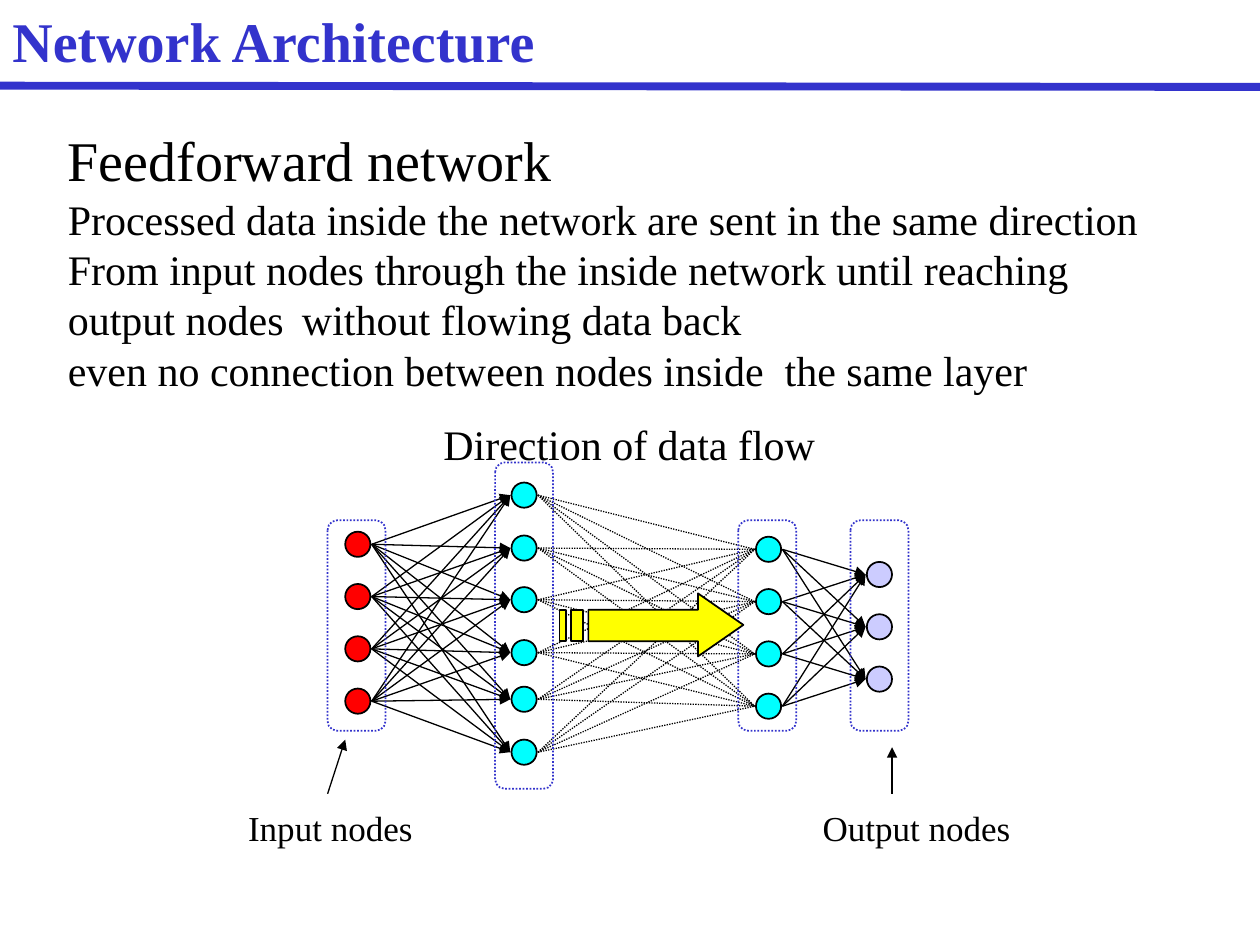
import pptx
import pptx.util
import pptx.dml.color
import pptx.enum.dml
import pptx.enum.shapes
import pptx.oxml
import pptx.oxml.ns
from itertools import product

Inches, Pt = pptx.util.Inches, pptx.util.Pt
SHAPE = pptx.enum.shapes.MSO_SHAPE
DOTS = pptx.enum.dml.MSO_LINE.ROUND_DOT
FONT = "Times New Roman"
COLORS = {"blue": "3333CC", "black": "000000", "red": "FF0000",
          "cyan": "00FFFF", "lilac": "CCCCFF", "yellow": "FFFF00"}
NODE = 0.2
GAP = 0.01

# Sizes in inches from the corner of the diagram.
LAYERS = [
    {"box": (0.73, 0.86, 0.46, 1.67), "left": 0.87, "fill": "red",
     "tops": [0.95 + 0.415 * i for i in range(4)]},
    {"box": (2.06, 0.4, 0.46, 2.59), "left": 2.19, "fill": "cyan",
     "tops": [0.56, 0.98, 1.39, 1.81, 2.18, 2.6]},
    {"box": (3.99, 0.86, 0.46, 1.67), "left": 4.13, "fill": "cyan",
     "tops": [0.99 + 0.415 * i for i in range(4)]},
    {"box": (4.88, 0.86, 0.46, 1.67), "left": 5.01, "fill": "lilac",
     "tops": [1.19 + 0.415 * i for i in range(3)]},
]


def tint(name):
    return pptx.dml.color.RGBColor.from_string(COLORS[name])


def paint(shape, fill, line, width=1):
    shape.shadow.inherit = False
    if fill:
        shape.fill.solid()
        shape.fill.fore_color.rgb = tint(fill)
    else:
        shape.fill.background()
    shape.line.color.rgb = tint(line)
    shape.line.width = Pt(width)


def draw_line(slide, start, end, color="black", width=0.75, head=False, dots=False):
    line = slide.shapes.add_connector(
        pptx.enum.shapes.MSO_CONNECTOR.STRAIGHT,
        *(Inches(v) for v in (*start, *end)))
    line.line.color.rgb = tint(color)
    line.line.width = Pt(width)
    if dots:
        line.line.dash_style = DOTS
    qn = pptx.oxml.ns.qn
    props = line._element.spPr
    if head:
        props.find(qn("a:ln")).append(pptx.oxml.parse_xml(
            '<a:tailEnd %s type="triangle"/>' % pptx.oxml.ns.nsdecls("a")))
    props.append(props.makeelement(qn("a:effectLst"), {}))


def add_text(slide, box, rows, color="black", bold=False):
    """Each row is a list of (text, size) runs."""
    frame = slide.shapes.add_textbox(*(Inches(v) for v in box)).text_frame
    frame.word_wrap = False
    for i, row in enumerate(rows):
        para = frame.add_paragraph() if i else frame.paragraphs[0]
        for text, size in row:
            run = para.add_run()
            run.text = text
            run.font.name = FONT
            run.font.size = Pt(size)
            run.font.bold = bold
            run.font.color.rgb = tint(color)


def add_title(slide, x, y):
    draw_line(slide, (x, y + 0.68), (x + 10, y + 0.69), "blue", 4.5)
    add_text(slide, (x, y, 4.39, 0.64), [[("Network Architecture", 32)]], "blue", True)


def add_body(slide, box):
    add_text(slide, box, [
        [("Feedforward network", 32)],
        [("Processed data inside the network are sent in the same direction", 24)],
        [("From input nodes through the inside network until reaching", 24)],
        [("output nodes", 24), (" ", 18), (" without flowing data back", 24)],
        [("even no connection between nodes inside  the same layer", 24)],
    ])


def add_nodes(slide, x, y, layer):
    for top in layer["tops"]:
        node = slide.shapes.add_shape(
            SHAPE.OVAL, Inches(x + layer["left"]), Inches(y + top),
            Inches(NODE), Inches(NODE))
        paint(node, layer["fill"], "black")


def add_links(slide, x, y, first, second, dots):
    """Join every node of one layer to every node of the next."""
    start = x + first["left"] + NODE + GAP
    end = x + second["left"] - GAP
    mid = y + NODE / 2
    for a, b in product(first["tops"], second["tops"]):
        draw_line(slide, (start, mid + a), (end, mid + b), head=not dots, dots=dots)


def add_frame(slide, x, y, layer):
    left, top, width, height = layer["box"]
    frame = slide.shapes.add_shape(
        SHAPE.ROUNDED_RECTANGLE, Inches(x + left), Inches(y + top),
        Inches(width), Inches(height))
    paint(frame, None, "blue")
    frame.line.dash_style = DOTS


def add_arrow(slide, x, y):
    """Block arrow with two stripes behind its tail, in hundredths of an inch."""
    low, high = 13, 38
    parts = [[(110, 0), (110, low), (23, low), (23, high),
              (110, high), (110, 50), (146, 25)]]
    for left, right in ((9, 19), (0, 5)):
        parts.append([(left, low), (left, high), (right, high), (right, low)])
    pen = slide.shapes.build_freeform(*parts[0][0], scale=Inches(0.01))
    for i, points in enumerate(parts):
        if i:
            pen.move_to(*points[0])
        pen.add_line_segments(points[1:], close=True)
    paint(pen.convert_to_shape(Inches(x), Inches(y)), "yellow", "black")


def add_network(slide, x, y):
    for layer in LAYERS:
        add_nodes(slide, x, y, layer)
    for i, (first, second) in enumerate(zip(LAYERS, LAYERS[1:])):
        add_links(slide, x, y, first, second, dots=i == 1)
    add_text(slide, (x, y + 3.08, 1.55, 0.44), [[("Input nodes", 20)]])
    add_text(slide, (x + 4.56, y + 3.08, 1.69, 0.44), [[("Output nodes", 20)]])
    for layer in LAYERS:
        add_frame(slide, x, y, layer)
    draw_line(slide, (x + 0.73, y + 3.03), (x + 0.87, y + 2.6), head=True)
    draw_line(slide, (x + 5.21, y + 3.03), (x + 5.21, y + 2.66), head=True)
    add_text(slide, (x + 1.55, y, 3.15, 0.5), [[("Direction of data flow", 24)]])
    add_arrow(slide, x + 2.57, y + 1.44)


def main():
    deck = pptx.Presentation()
    deck.slide_width, deck.slide_height = Inches(10), Inches(7.5)
    slide = deck.slides.add_slide(deck.slide_layouts[6])
    add_title(slide, 0, 0)
    add_body(slide, (0.44, 0.95, 8.86, 2.24))
    add_network(slide, 1.87, 3.27)
    deck.save("out.pptx")


if __name__ == "__main__":
    main()
